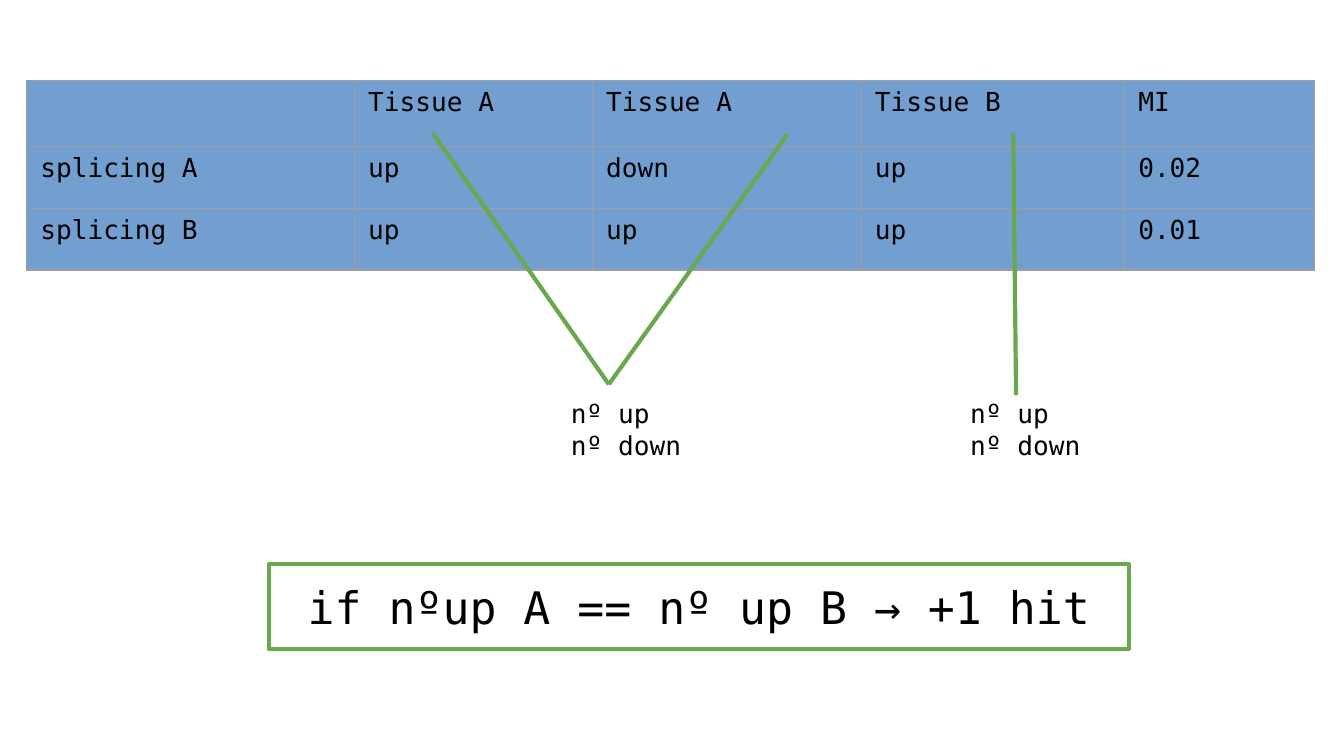
"""Build the slide on counting up and down splicing events per tissue."""
from dataclasses import dataclass

from lxml import etree
from pptx import Presentation
from pptx.dml.color import RGBColor
from pptx.enum.shapes import MSO_CONNECTOR, MSO_SHAPE
from pptx.enum.text import MSO_ANCHOR, PP_ALIGN
from pptx.oxml.ns import qn
from pptx.util import Inches, Pt

LINE = MSO_CONNECTOR.STRAIGHT
RECT = MSO_SHAPE.RECTANGLE
LEFT, CENTER = PP_ALIGN.LEFT, PP_ALIGN.CENTER
TOP, MIDDLE = MSO_ANCHOR.TOP, MSO_ANCHOR.MIDDLE


@dataclass(frozen=True)
class Theme:
    font: str = "DejaVu Sans Mono"
    ink: str = "000000"
    cell: str = "729FCF"
    grid: str = "9E9E9E"
    green: str = "6AA84F"
    body: int = 14
    rule: int = 24
    thin: float = 0.75
    thick: float = 2.25


THEME = Theme()
WIDTH = 10
SIZE = (WIDTH, WIDTH * 9 / 16)
ROWS = [
    ["", "Tissue A", "Tissue A", "Tissue B", "MI"],
    ["splicing A", "up", "down", "up", "0.02"],
    ["splicing B", "up", "up", "up", "0.01"],
]
ORIGIN = (0.2, 0.6)
COLS = [2.44, 1.77, 2, 1.96, 1.41]
HEIGHTS = [0.49, 0.46, 0.46]
COUNTS = ["nº up", "nº down"]
COUNT_TOP, COUNT_SIZE = 2.86, (1.85, 1.4)
GROUPS = [
    {"left": 4.15, "tip": (4.53, 2.86), "from": [(3.22, 0.99), (5.86, 1)]},
    {"left": 7.12, "tip": (7.56, 2.94), "from": [(7.54, 0.99)]},
]
RULE = "if nºup A == nº up B → +1 hit"
RULE_BOX = (2, 4.2, 6.4, 0.63)


def color(code):
    return RGBColor.from_string(code)


def inches(vals):
    return [Inches(val) for val in vals]


def write(frame, lines, size, align=LEFT):
    frame.text = "\n".join(lines)
    for para in frame.paragraphs:
        para.alignment = align
        para.font.name = THEME.font
        para.font.size = Pt(size)
        para.font.color.rgb = color(THEME.ink)


def pad(frame, anchor):
    frame.word_wrap = True
    frame.vertical_anchor = anchor
    frame.margin_left = frame.margin_right = Inches(0.1)
    frame.margin_top = frame.margin_bottom = Inches(0.1)


def stroke(line):
    line.color.rgb = color(THEME.green)
    line.width = Pt(THEME.thick)


def border(cell):
    props = cell._tc.get_or_add_tcPr()
    for spot, side in enumerate("LRTB"):
        edge = etree.Element(qn(f"a:ln{side}"), w=str(Pt(THEME.thin)))
        fill = etree.SubElement(edge, qn("a:solidFill"))
        etree.SubElement(fill, qn("a:srgbClr"), val=THEME.grid)
        props.insert(spot, edge)


def add_grid(shapes):
    area = inches([*ORIGIN, sum(COLS), sum(HEIGHTS)])
    table = shapes.add_table(len(ROWS), len(COLS), *area).table
    for col, width in zip(table.columns, COLS):
        col.width = Inches(width)
    for row, height, texts in zip(table.rows, HEIGHTS, ROWS):
        row.height = Inches(height)
        for cell, text in zip(row.cells, texts):
            cell.fill.solid()
            cell.fill.fore_color.rgb = color(THEME.cell)
            border(cell)
            write(cell.text_frame, [text], THEME.body)


def add_line(shapes, start, end):
    line = shapes.add_connector(LINE, *inches([*start, *end]))
    stroke(line.line)
    etree.SubElement(line._element.spPr, qn("a:effectLst"))


def add_count(shapes, left):
    box = shapes.add_textbox(*inches([left, COUNT_TOP, *COUNT_SIZE]))
    pad(box.text_frame, TOP)
    write(box.text_frame, COUNTS, THEME.body)


def add_rule(shapes):
    box = shapes.add_shape(RECT, *inches(RULE_BOX))
    box.shadow.inherit = False
    box.fill.background()
    stroke(box.line)
    pad(box.text_frame, MIDDLE)
    write(box.text_frame, [RULE], THEME.rule, CENTER)


def main():
    deck = Presentation()
    deck.slide_width, deck.slide_height = inches(SIZE)
    shapes = deck.slides.add_slide(deck.slide_layouts[6]).shapes
    add_grid(shapes)
    for group in GROUPS:
        for start in group["from"]:
            add_line(shapes, start, group["tip"])
    for group in GROUPS:
        add_count(shapes, group["left"])
    add_rule(shapes)
    deck.save("out.pptx")


if __name__ == "__main__":
    main()
